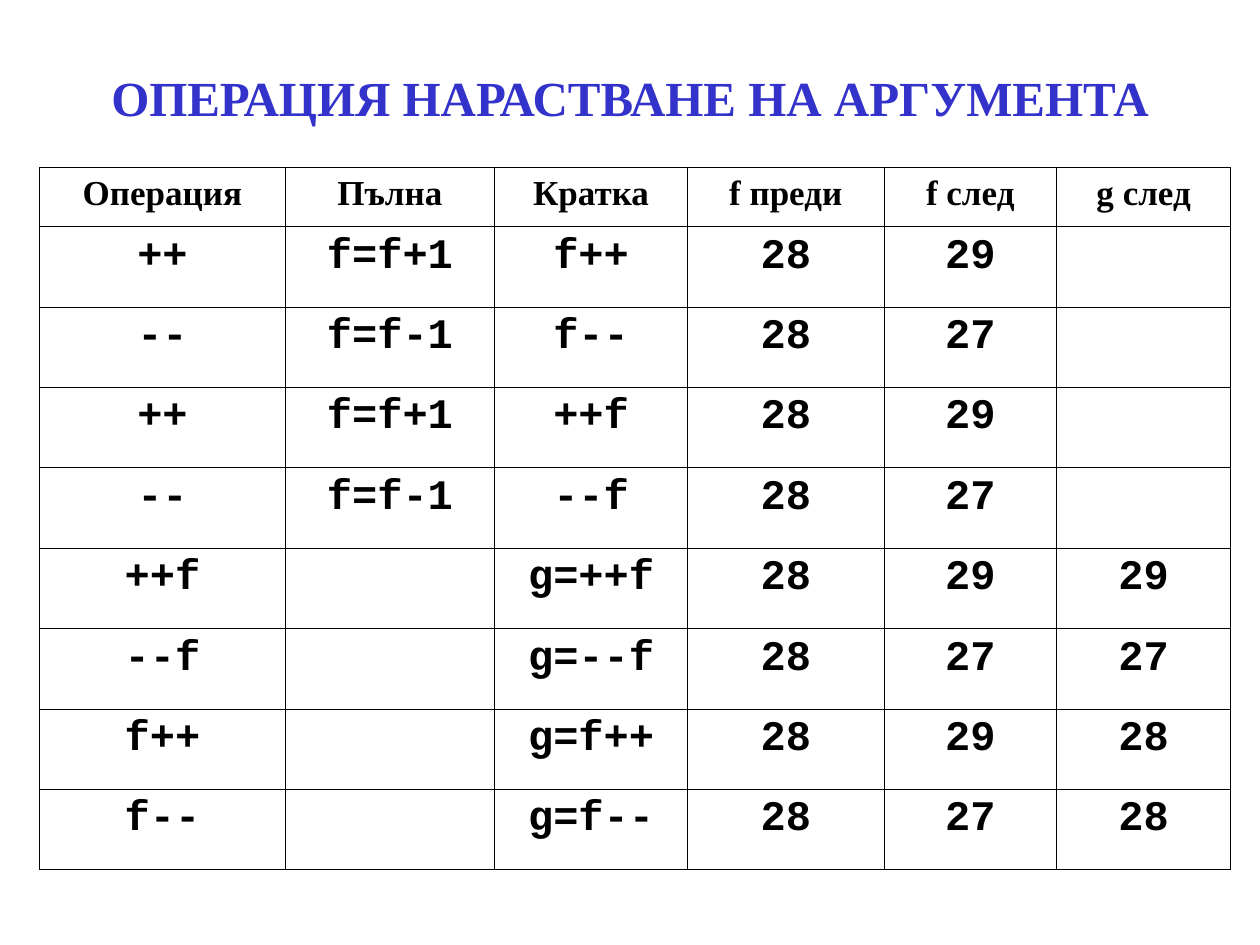
from lxml.etree import SubElement
from pptx import Presentation
from pptx.dml.color import RGBColor as Color
from pptx.enum.text import MSO_ANCHOR as Anchor, PP_ALIGN as Align
from pptx.oxml.ns import qn
from pptx.util import Cm, Pt

COLORS = {"title": "3333CC", "text": "000000", "border": "000000", "paper": "FFFFFF"}
FORMATS = {
    "title": {"name": "Times New Roman", "size": Pt(28), "bold": True},
    "header": {"name": "Times New Roman", "size": Pt(20), "bold": True},
    "code": {"name": "Courier New", "size": Pt(24), "bold": True},
}
BORDER_WIDTH = Pt(0.45)
CELL_MARGINS = {
    "margin_left": Cm(0.2), "margin_right": Cm(0.2),
    "margin_top": Cm(0.13), "margin_bottom": Cm(0.13),
}

TITLE = "ОПЕРАЦИЯ НАРАСТВАНЕ НА АРГУМЕНТА"
COLUMN_WIDTHS = [4.95, 4.22, 3.89, 3.96, 3.48, 3.51]
HEADER_HEIGHT, ROW_HEIGHT = 1.19, 1.62
OPERATIONS = [
    ["Операция", "Пълна", "Кратка", "f преди", "f след", "g след"],
    ["++", "f=f+1", "f++", "28", "29", ""],
    ["--", "f=f-1", "f--", "28", "27", ""],
    ["++", "f=f+1", "++f", "28", "29", ""],
    ["--", "f=f-1", "--f", "28", "27", ""],
    ["++f", "", "g=++f", "28", "29", "29"],
    ["--f", "", "g=--f", "28", "27", "27"],
    ["f++", "", "g=f++", "28", "29", "28"],
    ["f--", "", "g=f--", "28", "27", "28"],
]


class SlideBuilder:
    def __init__(self, slide):
        self.slide = slide

    def add_text(self, para, text, style, color="text"):
        para.alignment = Align.CENTER
        span = para.add_run()
        span.text = text
        for attribute, value in FORMATS[style].items():
            setattr(span.font, attribute, value)
        span.font.color.rgb = Color.from_string(COLORS[color])

    def title(self, text, left, top, width, height):
        box = self.slide.shapes.add_textbox(Cm(left), Cm(top), Cm(width), Cm(height))
        frame = box.text_frame
        frame.word_wrap = True
        frame.vertical_anchor = Anchor.MIDDLE
        self.add_text(frame.paragraphs[0], text, "title", "title")

    def border(self, cell):
        properties = cell._tc.get_or_add_tcPr()
        for side in ("a:lnL", "a:lnR", "a:lnT", "a:lnB"):
            line = SubElement(properties, qn(side), w=str(BORDER_WIDTH))
            fill = SubElement(line, qn("a:solidFill"))
            SubElement(fill, qn("a:srgbClr"), val=COLORS["border"])

    def cell(self, cell, text, style):
        for attribute, value in CELL_MARGINS.items():
            setattr(cell, attribute, value)
        self.border(cell)
        cell.fill.solid()
        cell.fill.fore_color.rgb = Color.from_string(COLORS["paper"])
        if text:
            para = cell.text_frame.paragraphs[0]
            if style == "code":
                para.line_spacing = 0.95
            self.add_text(para, text, style)

    def table(self, rows, left, top, widths, heights):
        table = self.slide.shapes.add_table(
            len(rows), len(widths), Cm(left), Cm(top), Cm(sum(widths)), Cm(sum(heights))
        ).table
        for column, width in zip(table.columns, widths):
            column.width = Cm(width)
        for index, (row, height, texts) in enumerate(zip(table.rows, heights, rows)):
            row.height = Cm(height)
            style = "code" if index else "header"
            for cell, text in zip(row.cells, texts):
                self.cell(cell, text, style)


def main():
    deck = Presentation()
    deck.slide_width, deck.slide_height = Cm(25.4), Cm(19.05)
    builder = SlideBuilder(deck.slides.add_slide(deck.slide_layouts[6]))

    # Heading
    builder.title(TITLE, 0.3, 1, 24.8, 1.9)

    # Increment and decrement operations
    heights = [HEADER_HEIGHT] + [ROW_HEIGHT] * (len(OPERATIONS) - 1)
    builder.table(OPERATIONS, 0.8, 3.38, COLUMN_WIDTHS, heights)

    deck.save("out.pptx")


if __name__ == "__main__":
    main()
